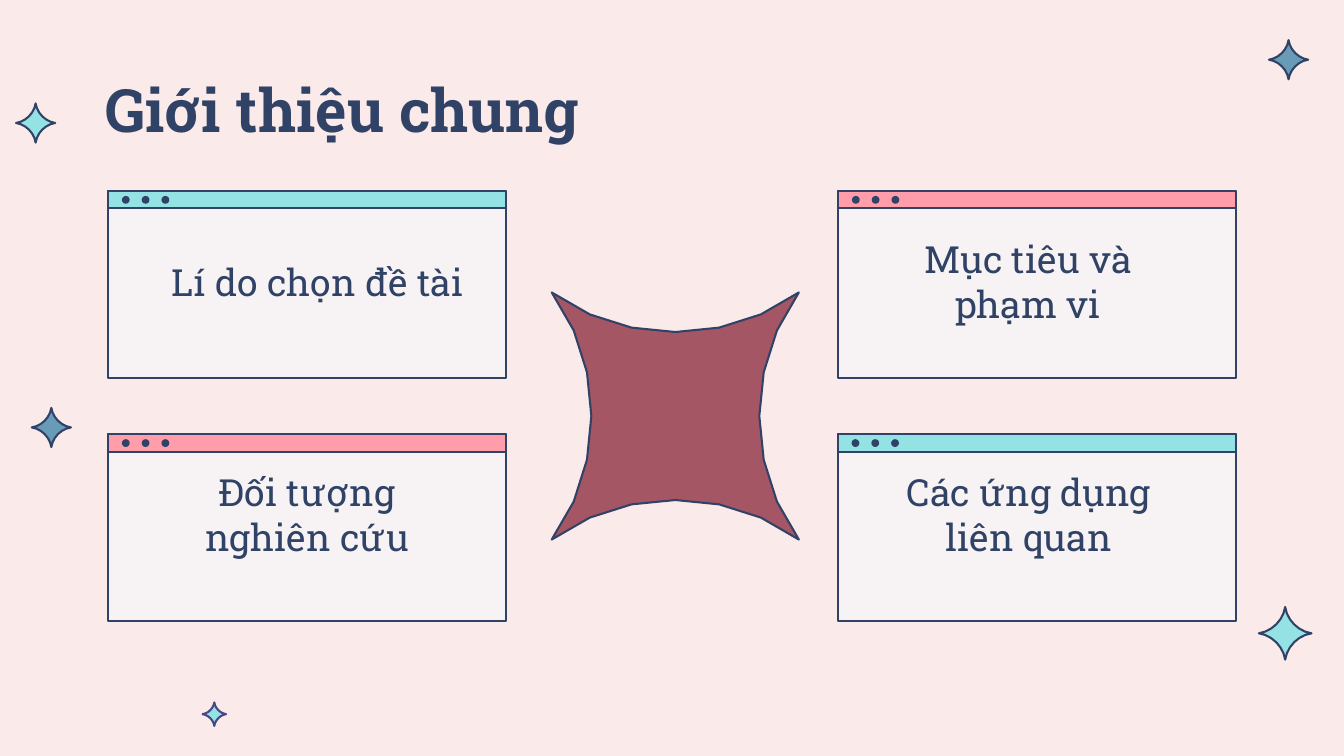
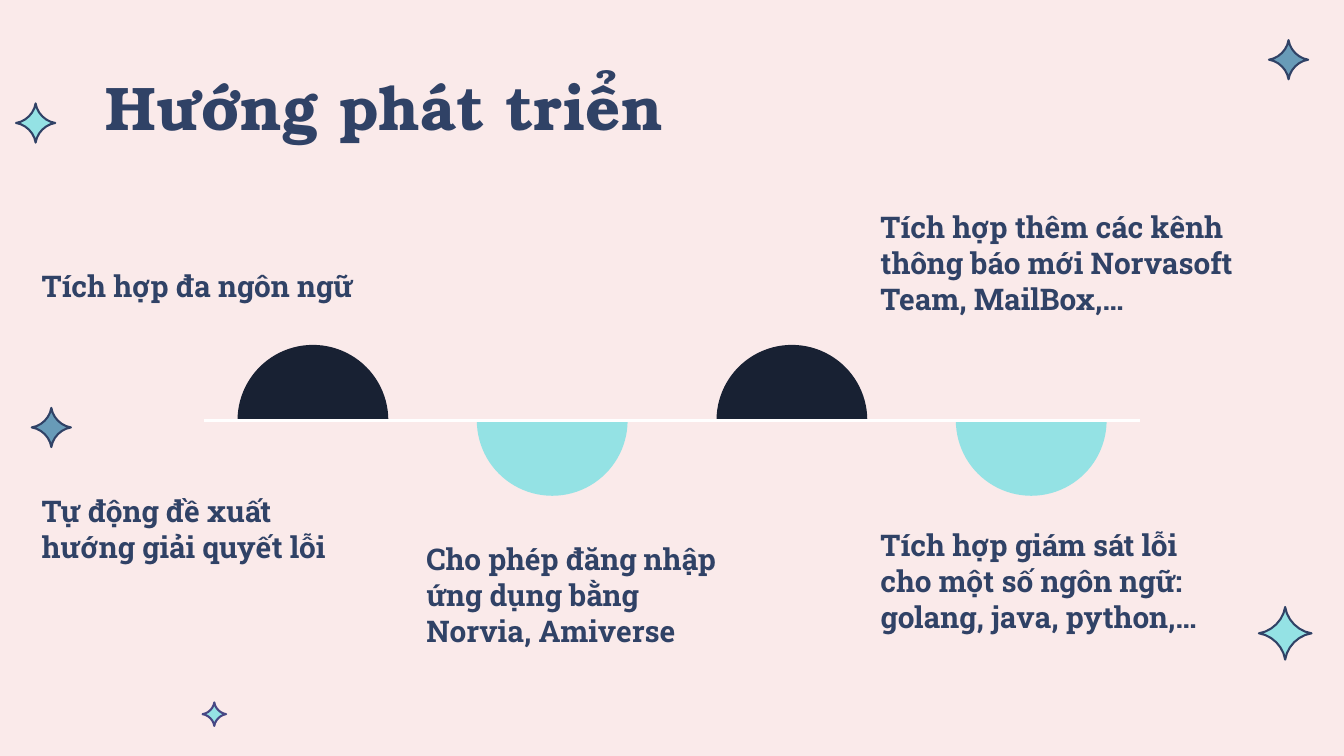
import pptx
import pptx.dml.color
import pptx.enum.shapes
import pptx.enum.text
import pptx.oxml.ns
import pptx.util
from lxml import etree

Pt = pptx.util.Pt
RGB = pptx.dml.color.RGBColor
MSO = pptx.enum.shapes.MSO_SHAPE
ANCHOR = pptx.enum.text.MSO_ANCHOR
ALIGN = pptx.enum.text.PP_ALIGN
FIT = pptx.enum.text.MSO_AUTO_SIZE

BLUSH = RGB(0xFA, 0xEA, 0xEA)
NAVY = RGB(0x30, 0x42, 0x66)
INK = RGB(0x18, 0x21, 0x33)
STEEL = RGB(0x68, 0x9B, 0xB8)
AQUA = RGB(0x94, 0xE2, 0xE4)
VIOLET = RGB(0x47, 0x47, 0x84)
WINE = RGB(0xA4, 0x56, 0x65)
PINK = RGB(0xFF, 0x9D, 0xAA)
PAPER = RGB(0xF7, 0xF3, 0xF4)
WHITE = RGB(0xFF, 0xFF, 0xFF)

SLAB = "Roboto Slab"
SERIF = "TeX Gyre Bonum"
EDGE = 1.11
STEPS = 6


class Deck:
    def __init__(self):
        self.prs = pptx.Presentation()
        self.prs.slide_width = Pt(720)
        self.prs.slide_height = Pt(405)
        fill = self.prs.slide_master.background.fill
        fill.solid()
        fill.fore_color.rgb = BLUSH
        self.base = self.prs.slide_layouts[5]
        self.slide = None

    def page(self, title, top, size, font):
        self.slide = self.prs.slides.add_slide(self.base)
        head = self.slide.shapes.title
        head.left, head.top = Pt(49.4), Pt(top)
        head.width, head.height = Pt(620.6), Pt(78.5)
        frame = head.text_frame
        frame.auto_size = FIT.NONE
        frame.vertical_anchor = ANCHOR.MIDDLE
        frame.paragraphs[0].line_spacing = 0.9
        self.run(frame, title, size, font, True, ALIGN.LEFT)

    def run(self, frame, text, size, font, bold, align):
        para = frame.paragraphs[0]
        para.alignment = align
        run = para.add_run()
        run.text = text
        run.font.size = Pt(size)
        run.font.name = font
        run.font.bold = bold
        run.font.color.rgb = NAVY

    def paint(self, shape, fill, edge=None):
        shape.shadow.inherit = False
        shape.fill.solid()
        shape.fill.fore_color.rgb = fill
        if edge is None:
            shape.line.fill.background()
        else:
            shape.line.color.rgb = edge
            shape.line.width = Pt(EDGE)
        return shape

    def shape(self, kind, x, y, w, h, fill, edge=None, group=None):
        home = group or self.slide
        item = home.shapes.add_shape(kind, Pt(x), Pt(y), Pt(w), Pt(h))
        return self.paint(item, fill, edge)

    def star(self, x, y, size, fill, edge=NAVY):
        """Draw a four-pointed star whose sides bend inwards."""
        half = size / 2
        dots = []
        for turn in range(4):
            for step in range(STEPS):
                t = step / STEPS
                s = 1 - t
                a = s**3 + 1.5 * s * s * t + 0.22 * s * t * t
                b = t**3 + 1.5 * s * t * t + 0.22 * s * s * t
                for _ in range(turn):
                    a, b = -b, a
                dots.append((Pt(x + half + half * a), Pt(y + half + half * b)))
        pen = self.slide.shapes.build_freeform(*dots[0], scale=1.0)
        pen.add_line_segments(dots[1:], close=True)
        return self.paint(pen.convert_to_shape(), fill, edge)

    def share(self, stars):
        """Put the stars on the layout, so that every slide shows them."""
        title = pptx.enum.shapes.PP_PLACEHOLDER.TITLE
        for item in list(self.base.placeholders):
            if item.placeholder_format.type != title:
                item.element.getparent().remove(item.element)
        for star in stars:
            self.base.shapes.element.append(self.star(*star).element)

    def window(self, x, y, tint):
        group = self.slide.shapes.add_group_shape()
        self.shape(MSO.RECTANGLE, x, y, 213.2, 100.2, PAPER, NAVY, group)
        self.shape(MSO.RECTANGLE, x, y, 213.2, 9.4, tint, NAVY, group)
        for i in range(3):
            self.shape(MSO.OVAL, x + 7.4 + 10.6 * i, y + 2.7, 4.2, 4.2,
                       NAVY, group=group)

    def box(self, x, y, w, h):
        item = self.slide.shapes.add_textbox(Pt(x), Pt(y), Pt(w), Pt(h))
        item.text_frame.word_wrap = True
        return item.text_frame

    def label(self, text, x, y, w, align):
        frame = self.box(x, y, w, 30.2)
        frame.vertical_anchor = ANCHOR.MIDDLE
        frame.margin_top = frame.margin_bottom = Pt(7.2)
        self.run(frame, text, 20, SLAB, False, align)

    def note(self, text, x, y, w, h):
        frame = self.box(x, y, w, h)
        frame.auto_size = FIT.SHAPE_TO_FIT_TEXT
        self.run(frame, text, 16, SLAB, True, ALIGN.LEFT)

    def line(self, x1, y1, x2, y2, color, width):
        kind = pptx.enum.shapes.MSO_CONNECTOR.STRAIGHT
        item = self.slide.shapes.add_connector(
            kind, Pt(x1), Pt(y1), Pt(x2), Pt(y2))
        item.line.color.rgb = color
        item.line.width = Pt(width)
        etree.SubElement(item.element.spPr, pptx.oxml.ns.qn("a:effectLst"))


STARS = [
    (17, 218.5, 21, STEEL),
    (108.5, 376.3, 12.6, AQUA, VIOLET),
    (679.8, 21.5, 21, STEEL),
    (8.6, 55.4, 21, AQUA),
    (674.4, 325.2, 28.2, AQUA),
]
LEFT, RIGHT = 57.9, 449
UPPER, LOWER = 102.3, 232.6
WINDOWS = [
    (RIGHT, UPPER, PINK),
    (RIGHT - 0.2, LOWER, AQUA),
    (LEFT, UPPER, AQUA),
    (LEFT, LOWER, PINK),
]
LABELS = [
    ("Mục tiêu và phạm vi", 481.3, 135.6, 139, ALIGN.CENTER),
    ("Các ứng dụng liên quan", 471.2, 260.3, 160, ALIGN.CENTER),
    ("Lí do chọn đề tài", 85, 135.8, 180.7, ALIGN.LEFT),
    ("Đối tượng nghiên cứu", 95, 260.3, 139, ALIGN.CENTER),
]
NOTES = [
    ("Cho phép đăng nhập ứng dụng bằng Norvia, Amiverse",
     221.3, 286.2, 187.2, 85),
    ("Tích hợp giám sát lỗi cho một số ngôn ngữ: golang, java, python,…",
     464.6, 278.6, 199.4, 65.5),
    ("Tự động đề xuất hướng giải quyết lỗi", 15.2, 260.6, 187.2, 46),
    ("Tích hợp thêm các kênh thông báo mới Norvasoft Team, MailBox,…",
     464.6, 108.3, 235.4, 85),
    ("Tích hợp đa ngôn ngữ", 15.2, 139.7, 187.2, 26.6),
]


def intro(deck):
    deck.page("Giới thiệu chung", 21.6, 32, SLAB)
    deck.share(STARS)
    deck.star(268.2, 129.3, 187.2, WINE).rotation = 45
    for spot, label in zip(WINDOWS, LABELS):
        deck.window(*spot)
        deck.label(*label)


def plans(deck):
    deck.page("Hướng phát triển", 20.2, 33, SERIF)
    for i in range(4):
        tint, turn = ((INK, 90), (AQUA, 270))[i % 2]
        pie = deck.shape(MSO.PIE, 127.2 + 128.3 * i, 184.8, 80.8, 80.8, tint)
        pie.adjustments[0] = 54.24
        pie.adjustments[1] = 162
        pie.rotation = turn
    deck.line(109.4, 225.3, 610.6, 225.3, WHITE, 1.5)
    for note in NOTES:
        deck.note(*note)


def main():
    deck = Deck()
    intro(deck)
    plans(deck)
    deck.prs.save("out.pptx")


if __name__ == "__main__":
    main()
